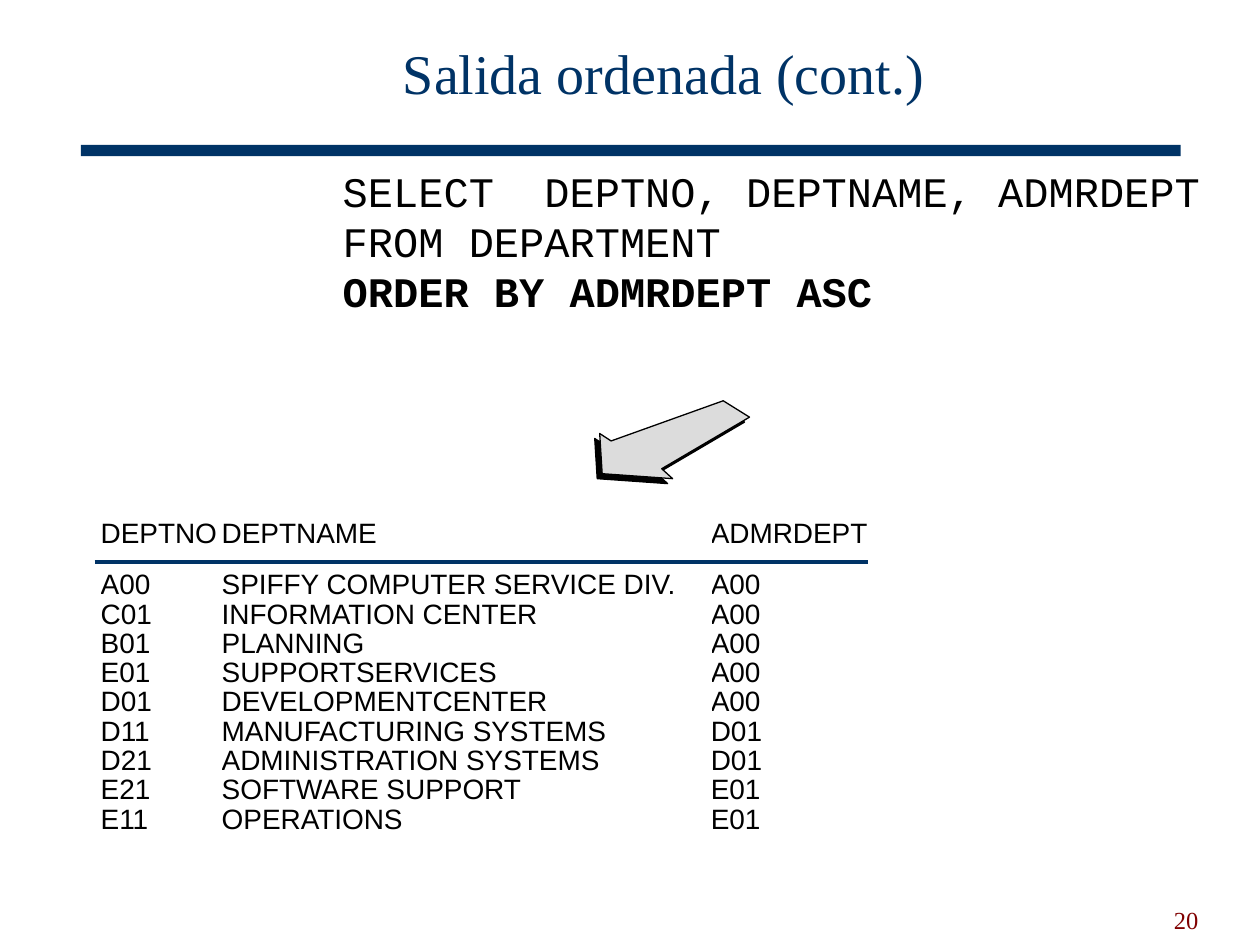
from lxml import etree
from pptx import Presentation
from pptx.dml.color import RGBColor
from pptx.enum.shapes import MSO_CONNECTOR, MSO_SHAPE
from pptx.enum.text import MSO_ANCHOR, PP_ALIGN
from pptx.oxml.ns import qn
from pptx.util import Cm, Pt

LEFT, CENTER, RIGHT = PP_ALIGN.LEFT, PP_ALIGN.CENTER, PP_ALIGN.RIGHT
TOP, MIDDLE, BOTTOM = MSO_ANCHOR.TOP, MSO_ANCHOR.MIDDLE, MSO_ANCHOR.BOTTOM
RECTANGLE = MSO_SHAPE.RECTANGLE
STRAIGHT = MSO_CONNECTOR.STRAIGHT
TITLE_ONLY = 5

NAVY, BLACK, MAROON, GRAY = "003366", "000000", "800000", "DCDCDC"
HEADING = {"name": "Times New Roman", "size": Pt(32), "bold": False}
CODE = {"name": "Courier New", "size": Pt(24), "bold": False}
CODE_BOLD = {**CODE, "bold": True}
CELL = {"name": "Arial", "size": Pt(16), "bold": False}
NUMBER = {"name": "Times New Roman", "size": Pt(14)}

QUERY = [
    [("SELECT  DEPTNO, DEPTNAME, ADMRDEPT", CODE)],
    [("FROM DEPARTMENT\v", CODE), ("ORDER BY ADMRDEPT ASC", CODE_BOLD)],
]
DEPARTMENTS = [
    ("DEPTNO", "DEPTNAME", "ADMRDEPT"),
    ("A00", "SPIFFY COMPUTER SERVICE DIV.", "A00"),
    ("C01", "INFORMATION CENTER", "A00"),
    ("B01", "PLANNING", "A00"),
    ("E01", "SUPPORTSERVICES", "A00"),
    ("D01", "DEVELOPMENTCENTER", "A00"),
    ("D11", "MANUFACTURING SYSTEMS", "D01"),
    ("D21", "ADMINISTRATION SYSTEMS", "D01"),
    ("E21", "SOFTWARE SUPPORT", "E01"),
    ("E11", "OPERATIONS", "E01"),
]
ARROW = [(1511, 841), (1458, 808), (1232, 889), (1209, 874),
         (1214, 955), (1356, 965), (1334, 945)]


def color(value):
    return RGBColor.from_string(value)


class SlideBuilder:
    def __init__(self, slide):
        self.slide = slide
        self.shapes = slide.shapes

    def style(self, font, formats, ink):
        for attribute, value in formats.items():
            setattr(font, attribute, value)
        font.color.rgb = color(ink)

    def place(self, shape, box):
        for side, length in zip(("left", "top", "width", "height"), box):
            setattr(shape, side, Cm(length))

    def fill_frame(self, frame, lines, ink, align, anchor, margins):
        frame.word_wrap = True
        frame.vertical_anchor = anchor
        sides = ("margin_left", "margin_top", "margin_right", "margin_bottom")
        for side, margin in zip(sides, margins):
            setattr(frame, side, Cm(margin))
        for index, runs in enumerate(lines):
            paragraph = frame.add_paragraph() if index else frame.paragraphs[0]
            paragraph.alignment = align
            for text, formats in runs:
                pieces = text.split("\v")
                for position, piece in enumerate(pieces):
                    if position:
                        paragraph.add_line_break()
                    if piece:
                        run = paragraph.add_run()
                        run.text = piece
                        self.style(run.font, formats, ink)

    def title(self, text, box):
        heading = self.shapes.title
        self.place(heading, box)
        self.fill_frame(heading.text_frame, [[(text, HEADING)]], NAVY,
                        CENTER, MIDDLE, (0.25, 0.13, 0.25, 0.13))
        heading.text_frame.paragraphs[0].line_spacing = 0.85

    def text(self, lines, box, ink=BLACK, align=LEFT, anchor=TOP,
             margins=(0, 0, 0, 0)):
        frame = self.shapes.add_textbox(*map(Cm, box)).text_frame
        self.fill_frame(frame, lines, ink, align, anchor, margins)

    def bar(self, box):
        bar = self.shapes.add_shape(RECTANGLE, *map(Cm, box))
        bar.shadow.inherit = False
        bar.fill.solid()
        bar.fill.fore_color.rgb = color(NAVY)
        bar.line.fill.background()

    def table(self, rows, left, top, widths, header_height, row_height):
        height = header_height + row_height * (len(rows) - 1)
        table = self.shapes.add_table(
            len(rows), len(widths), Cm(left), Cm(top),
            Cm(sum(widths)), Cm(height)).table
        table.first_row = table.horz_banding = False
        for column, width in zip(table.columns, widths):
            column.width = Cm(width)
        for index, (row, values) in enumerate(zip(table.rows, rows)):
            row.height = Cm(row_height if index else header_height)
            for cell, value in zip(row.cells, values):
                cell.fill.background()
                cell.vertical_anchor = TOP
                for side in ("left", "top", "right", "bottom"):
                    setattr(cell, f"margin_{side}", 0)
                paragraph = cell.text_frame.paragraphs[0]
                paragraph.line_spacing = Pt(16.5)
                run = paragraph.add_run()
                run.text = value
                self.style(run.font, CELL, BLACK)

    def line(self, start, end):
        line = self.shapes.add_connector(STRAIGHT, *map(Cm, start + end))
        line.line.color.rgb = color(NAVY)
        line.line.width = Pt(2.25)
        etree.SubElement(line._element.spPr, qn("a:effectLst"))

    def arrow(self, points, offset):
        group = self.shapes.add_group_shape()
        for shift, paint in ((offset, BLACK), (0, GRAY)):
            outline = [(x - shift, y + shift) for x, y in points]
            builder = group.shapes.build_freeform(*outline[0], scale=Cm(0.01))
            builder.add_line_segments(outline[1:], close=True)
            face = builder.convert_to_shape()
            face.shadow.inherit = False
            face.fill.solid()
            face.fill.fore_color.rgb = color(paint)
            face.line.color.rgb = color(BLACK)
            face.line.width = Pt(0.75)


def main():
    deck = Presentation()
    deck.slide_width, deck.slide_height = Cm(25.4), Cm(19.05)
    page = SlideBuilder(deck.slides.add_slide(deck.slide_layouts[TITLE_ONLY]))
    page.bar((1.63, 2.92, 22.17, 0.23))
    page.text([[("20", NUMBER)]], (18.31, 17.7, 6.1, 1.27), MAROON, RIGHT,
              BOTTOM, (0.25, 0.13, 0.25, 0.13))
    page.title("Salida ordenada (cont.)", (3.12, 0.36, 20.52, 2.39))
    page.text(QUERY, (6.91, 3.33, 17.91, 3.05))
    page.table(DEPARTMENTS, 2.03, 10.49, (2.44, 9.86, 3.3), 1.04, 0.59)
    page.arrow(ARROW, 10)
    page.line((1.91, 11.33), (17.5, 11.33))
    deck.save("out.pptx")


if __name__ == "__main__":
    main()
